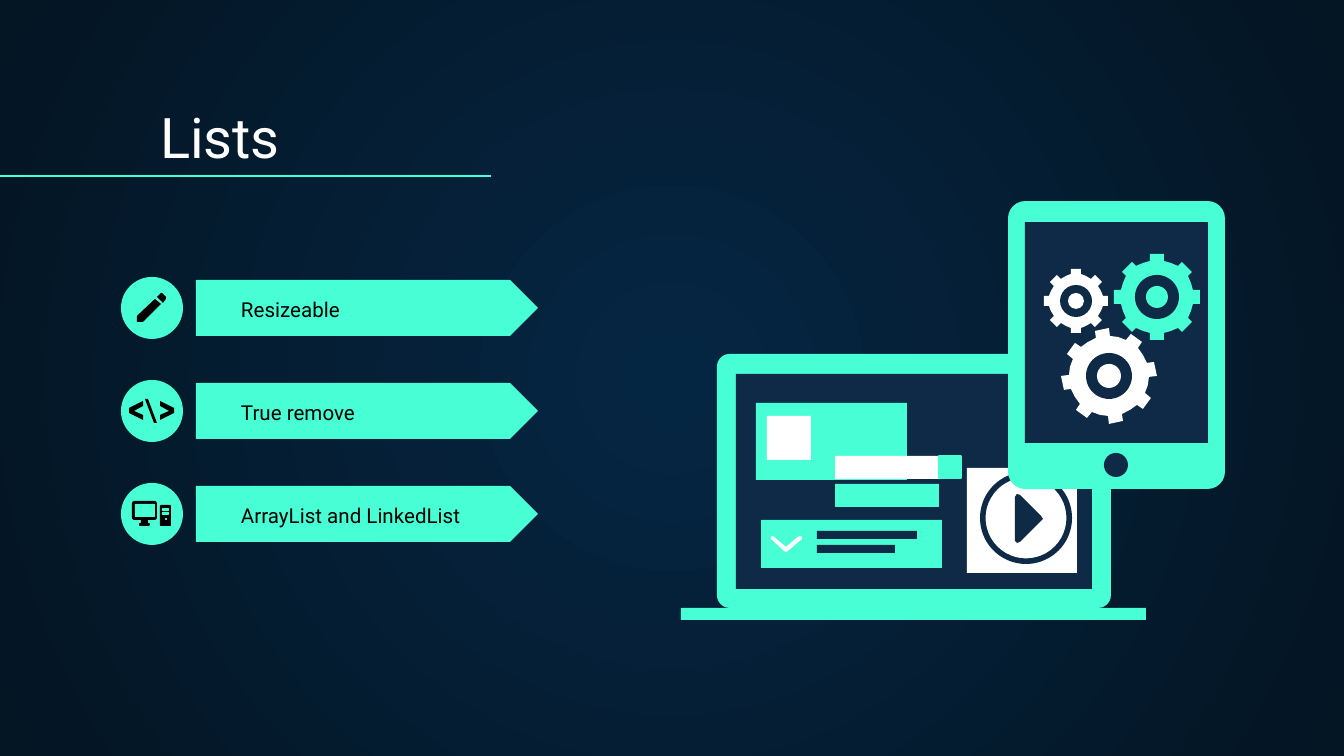
from math import cos, radians, sin

from lxml import etree
from pptx import Presentation
from pptx.dml.color import RGBColor
from pptx.enum.shapes import MSO_CONNECTOR, MSO_SHAPE
from pptx.enum.text import MSO_ANCHOR
from pptx.oxml.ns import qn
from pptx.util import Pt

EMU_PER_PX = 914400 / 134.4
RECT = MSO_SHAPE.RECTANGLE
ROUNDED = MSO_SHAPE.ROUNDED_RECTANGLE
OVAL = MSO_SHAPE.OVAL
DONUT = MSO_SHAPE.DONUT
PENTAGON = MSO_SHAPE.PENTAGON
STRAIGHT = MSO_CONNECTOR.STRAIGHT
BOTTOM = MSO_ANCHOR.BOTTOM

FONT = "Roboto"
COLORS = {
    "mint": "48FFD5",
    "navy": "0E2A47",
    "white": "FFFFFF",
    "black": "000000",
    "glow": "052643",
    "edge": "041523",
}
ROW_PITCH = 103


def px(length):
    return round(length * EMU_PER_PX)


def rgb(name):
    return RGBColor.from_string(COLORS[name])


def paint(shape, color):
    shape.shadow.inherit = False
    shape.fill.solid()
    shape.fill.fore_color.rgb = rgb(color)
    shape.line.fill.background()
    return shape


def add_preset(slide, kind, box, color, adjust=None):
    shape = slide.shapes.add_shape(kind, *map(px, box))
    if adjust is not None:
        shape.adjustments[0] = adjust
    return paint(shape, color)


def add_circle(slide, center, radius, color):
    x, y = center
    return add_preset(slide, OVAL, (x - radius, y - radius, 2 * radius, 2 * radius), color)


def add_outline(slide, contours, color):
    first, *others = contours
    builder = slide.shapes.build_freeform(*first[0], scale=EMU_PER_PX)
    builder.add_line_segments(first[1:])
    for contour in others:
        builder.move_to(*contour[0])
        builder.add_line_segments(contour[1:])
    return paint(builder.convert_to_shape(), color)


def add_label(slide, text, box, size, color):
    label = slide.shapes.add_textbox(*map(px, box))
    frame = label.text_frame
    frame.word_wrap = True
    frame.vertical_anchor = BOTTOM
    frame.margin_left = frame.margin_right = px(13)
    frame.margin_top = frame.margin_bottom = px(13)
    frame.text = text
    font = frame.paragraphs[0].runs[0].font
    font.name, font.size = FONT, Pt(size)
    font.color.rgb = rgb(color)


def add_gear(slide, center, body, tip, half_tooth, ring, hub, color, turn=0):
    """Eight teeth on a round body, with a dark ring around the hub."""
    x, y = center
    base = (body ** 2 - half_tooth ** 2) ** 0.5
    tooth = [(base, -half_tooth), (tip, -half_tooth), (tip, half_tooth), (base, half_tooth)]
    points = []
    for step in range(8):
        angle = radians(45 * step + turn)
        points += [(x + u * cos(angle) - v * sin(angle),
                    y + u * sin(angle) + v * cos(angle)) for u, v in tooth]
        valley = angle + radians(22.5)
        points.append((x + body * cos(valley), y + body * sin(valley)))
    add_outline(slide, [points], color)
    add_circle(slide, center, ring, "navy")
    add_circle(slide, center, hub, color)


def set_background(slide):
    fill = slide.background.fill
    fill.gradient()
    for stop, color in zip(fill.gradient_stops, ("glow", "edge")):
        stop.color.rgb = rgb(color)
    gradient = slide._element.find(".//" + qn("a:gradFill"))
    linear = gradient.find(qn("a:lin"))
    circle = etree.Element(qn("a:path"), path="circle")
    etree.SubElement(circle, qn("a:fillToRect"), l="50000", t="50000", r="50000", b="50000")
    gradient.replace(linear, circle)


def add_heading(slide):
    add_label(slide, "Lists", (147, 94, 1152, 89), 30, "white")
    rule = slide.shapes.add_connector(STRAIGHT, 0, px(176), px(491), px(176))
    rule.line.color.rgb = rgb("mint")
    rule.line.width = Pt(0.75)
    etree.SubElement(rule._element.spPr, qn("a:effectLst"))


def add_pencil_icon(slide):
    cap = [(161, 293), (157, 297), (163, 303), (166, 299), (166, 297), (162, 293)]
    body = [(155, 299), (137, 316), (137, 322), (143, 322), (161, 304)]
    add_outline(slide, [cap, body], "black")


def add_code_icon(slide):
    left = [(143, 401), (129, 408), (129, 413), (143, 420), (143, 415), (134, 411), (143, 406)]
    right = [(303 - x, y) for x, y in left]
    slash = [(145, 399), (148, 399), (157, 423), (154, 423)]
    for mark in (left, slash, right):
        add_outline(slide, [mark], "black")


def add_computer_icon(slide):
    # Monitor, then tower
    add_preset(slide, ROUNDED, (132, 501, 25, 19), "black", 0.13)
    add_preset(slide, RECT, (135, 504, 20, 13), "mint")
    add_preset(slide, RECT, (141, 520, 7, 3), "black")
    add_preset(slide, ROUNDED, (139, 523, 11, 3), "black", 0.5)
    add_preset(slide, ROUNDED, (160, 505, 11, 21), "black", 0.1)
    for top in (508, 512):
        add_preset(slide, ROUNDED, (162, top, 7, 3), "mint", 0.3)
    add_circle(slide, (166, 519), 1, "mint")


def add_list_rows(slide):
    rows = [
        ("Resizeable", add_pencil_icon),
        ("True remove", add_code_icon),
        ("ArrayList and LinkedList", add_computer_icon),
    ]
    for index, (text, add_icon) in enumerate(rows):
        offset = index * ROW_PITCH
        add_preset(slide, PENTAGON, (196, 280 + offset, 342, 56), "mint", 0.5)
        add_label(slide, text, (228, 306 + offset, 305, 28), 11, "black")
        add_circle(slide, (152, 308 + offset), 31, "mint")
        add_icon(slide)


def add_laptop(slide):
    # Case, screen and base
    add_preset(slide, ROUNDED, (717, 354, 394, 254), "mint", 0.05)
    add_preset(slide, RECT, (736, 374, 356, 215), "navy")
    add_preset(slide, RECT, (681, 608, 465, 12), "mint")
    # Windows on the screen
    for box, color in [
        ((756, 403, 151, 77), "mint"),
        ((767, 416, 44, 44), "white"),
        ((761, 520, 181, 48), "mint"),
        ((817, 531, 100, 8), "navy"),
        ((817, 545, 78, 8), "navy"),
        ((835, 484, 104, 23), "mint"),
        ((835, 456, 104, 23), "white"),
        ((967, 468, 110, 105), "white"),
    ]:
        add_preset(slide, RECT, box, color)
    search_button = add_preset(slide, RECT, (939, 456, 22, 22), "mint")
    search_button.line.color.rgb = rgb("mint")
    search_button.line.width = Pt(0.75)
    chevron = [(773, 536), (786, 547), (799, 536), (802, 537), (802, 539),
               (788, 551), (786, 552), (784, 551), (771, 539), (771, 537)]
    add_outline(slide, [chevron], "white")
    # Play button
    add_preset(slide, DONUT, (980, 472, 92, 92), "navy", 0.06)
    play = [(1015, 497), (1017, 494), (1020, 495), (1041, 516), (1043, 519),
            (1041, 521), (1020, 542), (1017, 543), (1015, 541)]
    add_outline(slide, [play], "navy")


def add_tablet(slide):
    add_preset(slide, ROUNDED, (1008, 201, 217, 288), "mint", 0.08)
    add_preset(slide, RECT, (1025, 222, 183, 221), "navy")
    add_circle(slide, (1116, 465), 12, "navy")
    add_gear(slide, (1157, 297), 37, 43, 7, 22, 11, "mint")
    add_gear(slide, (1076, 301), 27, 32, 5, 16, 8, "white")
    add_gear(slide, (1109, 376), 40, 47, 7, 23, 12, "white", turn=-9)


def main():
    presentation = Presentation()
    presentation.slide_width, presentation.slide_height = px(1344), px(756)
    slide = presentation.slides.add_slide(presentation.slide_layouts[6])
    set_background(slide)
    add_heading(slide)
    add_list_rows(slide)
    add_laptop(slide)
    add_tablet(slide)
    presentation.save("out.pptx")


if __name__ == "__main__":
    main()
